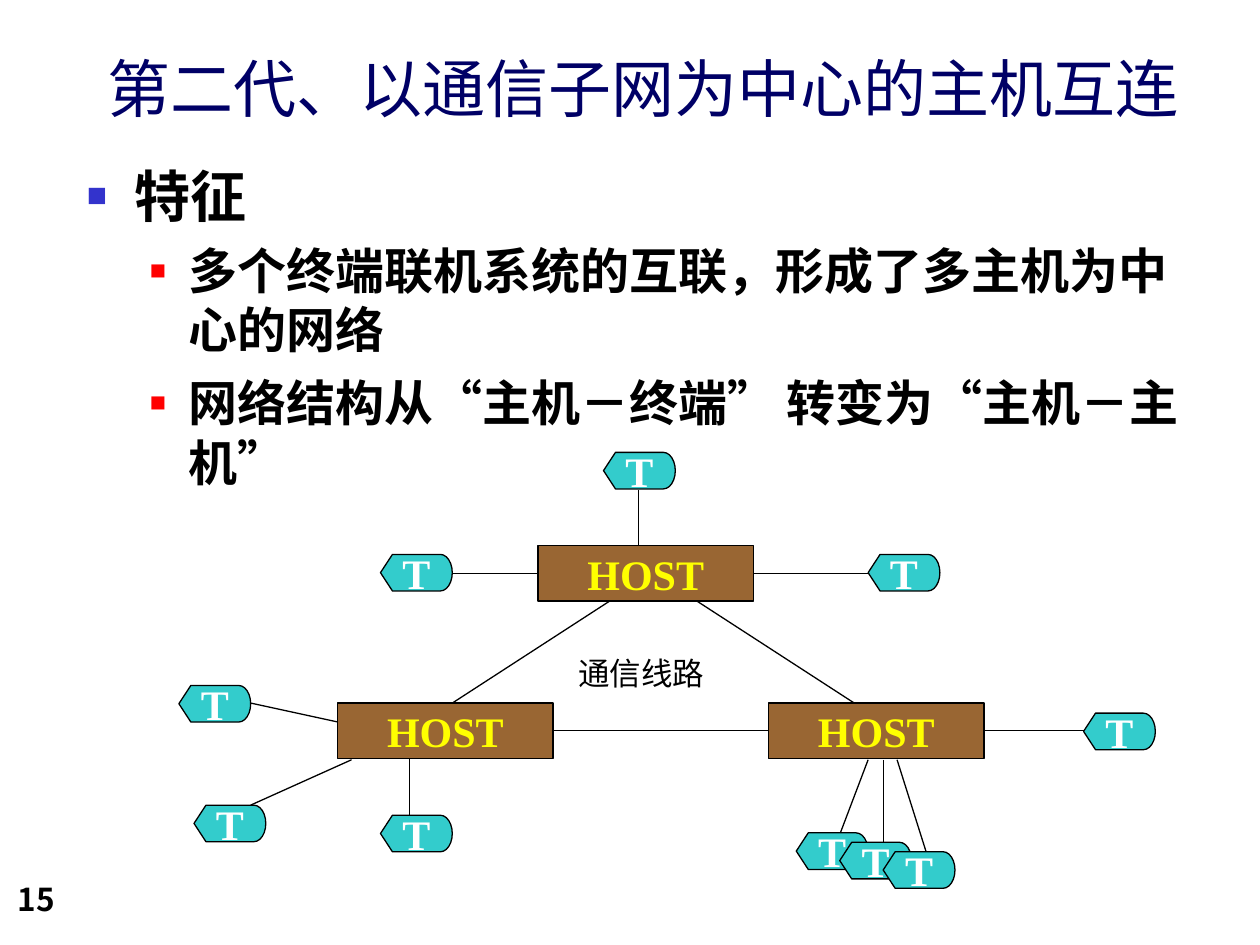
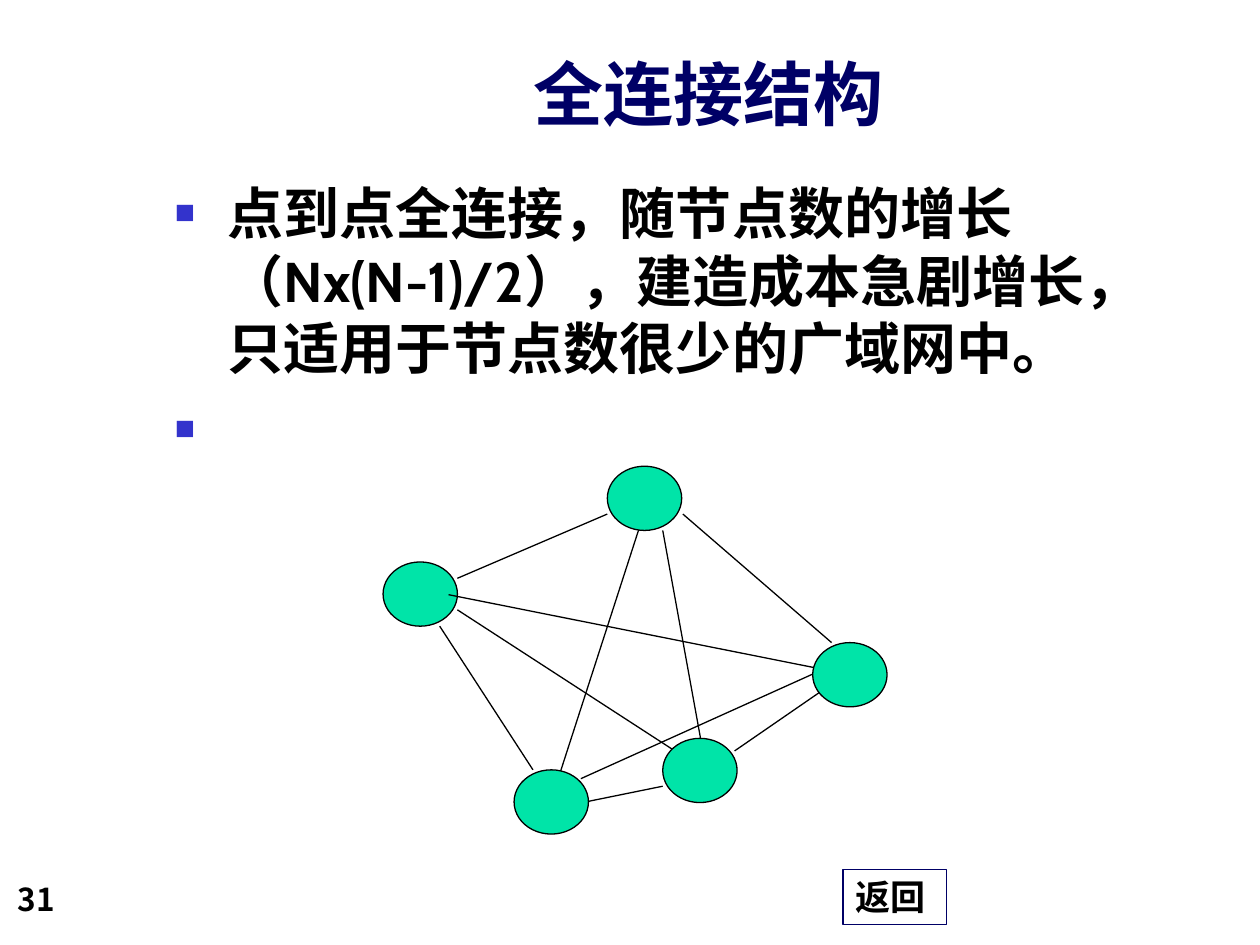
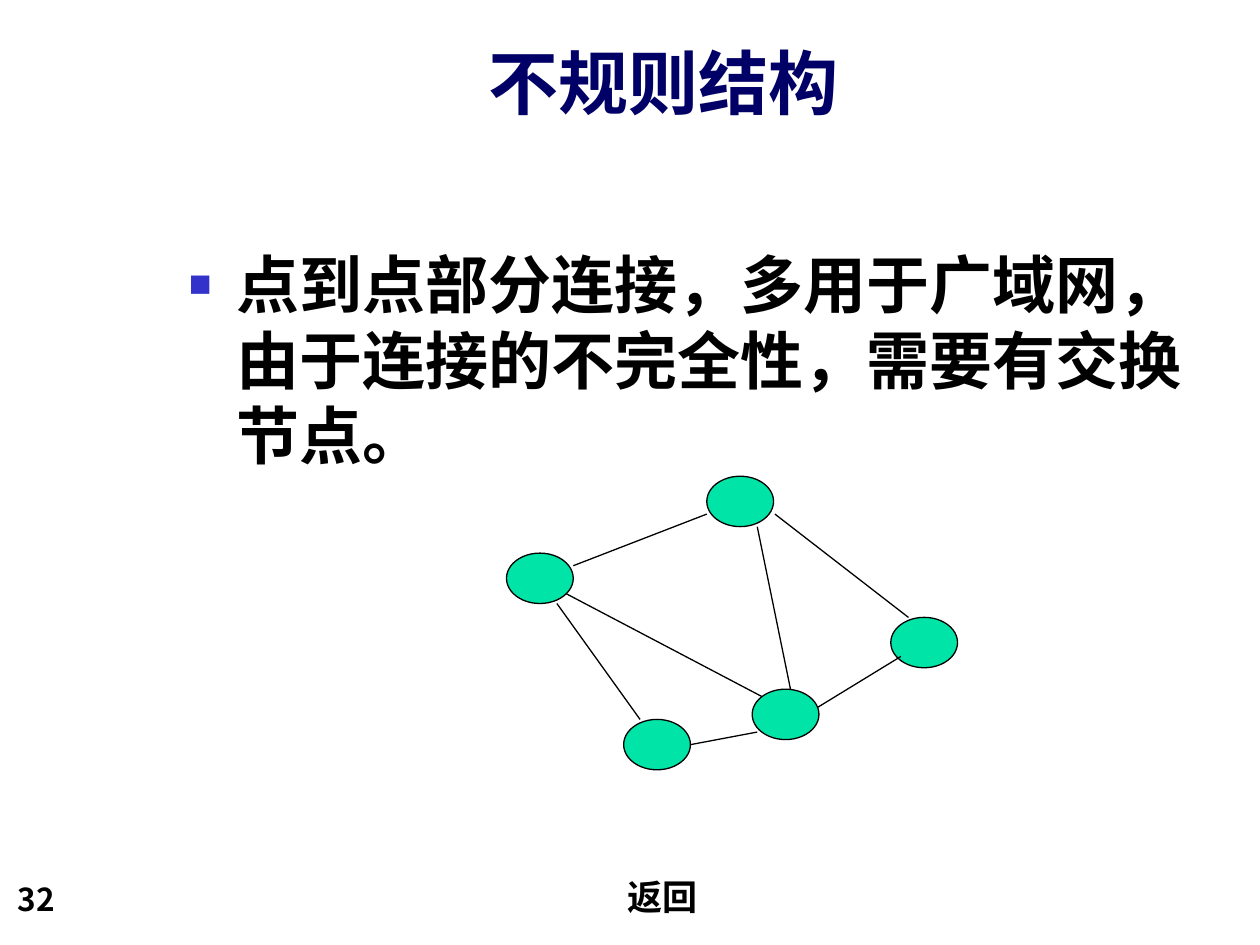
from itertools import groupby
from typing import NamedTuple

from lxml import etree
from pptx import Presentation
from pptx.dml.color import RGBColor
from pptx.enum.shapes import MSO_CONNECTOR, MSO_SHAPE
from pptx.enum.text import MSO_ANCHOR, PP_ALIGN
from pptx.oxml.ns import qn
from pptx.util import Inches, Pt

LINE = MSO_CONNECTOR.STRAIGHT
RECT, OVAL, DISPLAY = MSO_SHAPE.RECTANGLE, MSO_SHAPE.OVAL, MSO_SHAPE.FLOWCHART_DISPLAY
TOP, MIDDLE, BOTTOM = MSO_ANCHOR.TOP, MSO_ANCHOR.MIDDLE, MSO_ANCHOR.BOTTOM
LEFT, CENTER = PP_ALIGN.LEFT, PP_ALIGN.CENTER

COLORS = {
    "title": "000066", "text": "000000", "line": "000000",
    "bullet": "3333CC", "sub_bullet": "FF0000",
    "host": "996633", "host_text": "FFFF00",
    "terminal": "33CCCC", "terminal_text": "FFFFFF", "node": "00E4A8",
}
SERIF, SANS, CJK = "Times New Roman", "Cabin", "Noto Sans CJK SC"
QUOTES = "“”"
HOST_SIZE = (1.71, 0.44)
TERMINAL_SIZE = (0.57, 0.29)


class Style(NamedTuple):
    size: float
    font: str = SANS
    color: str = "text"
    bold: bool = True
    east_asian: str = SANS


class Item(NamedTuple):
    text: str
    size: float
    before: float
    indent: float = 0.38
    hanging: float = 0.38
    level: int = 0
    line_height: float | None = None


class Link(NamedTuple):
    x1: float
    y1: float
    x2: float
    y2: float


class Network(NamedTuple):
    size: tuple[float, float]
    back_links: list[Link]
    nodes: list[tuple[float, float]]
    links: list[Link]
    front_node: tuple[float, float]


PLAIN_TITLE = Style(36, SERIF, "title", False)
BOLD_TITLE = Style(40, SANS, "title")
HOST_STYLE = Style(24, SERIF, "host_text")
TERMINAL_STYLE = Style(24, SERIF, "terminal_text")


def rgb(name: str) -> RGBColor:
    return RGBColor.from_string(COLORS[name])


def format_run(r, style: Style) -> None:
    r.font.size = Pt(style.size)
    r.font.bold = style.bold
    r.font.color.rgb = rgb(style.color)
    r.font.name = style.font
    latin = r.font._element.find(qn("a:latin"))
    latin.addnext(etree.Element(qn("a:ea"), typeface=style.east_asian))
    r.font._element.set("lang", "zh-CN")


def write(shape, text: str, style: Style, align=LEFT, anchor=TOP, wrap=True) -> None:
    tf = shape.text_frame
    tf.word_wrap = wrap
    tf.vertical_anchor = anchor
    tf.text = text
    p = tf.paragraphs[0]
    p.alignment = align
    format_run(p.runs[0], style)


def add_box(s, x: float, y: float, w: float, h: float):
    return s.shapes.add_textbox(Inches(x), Inches(y), Inches(w), Inches(h))


def add_filled(s, kind, at: tuple[float, float], size: tuple[float, float], fill: str):
    sp = s.shapes.add_shape(kind, *(Inches(v) for v in (*at, *size)))
    sp.shadow.inherit = False
    sp.fill.solid()
    sp.fill.fore_color.rgb = rgb(fill)
    sp.line.color.rgb = rgb("line")
    sp.line.width = Pt(0.75)
    return sp


def add_links(s, links: list[Link]) -> None:
    for link in links:
        cn = s.shapes.add_connector(LINE, *(Inches(v) for v in link))
        cn.line.color.rgb = rgb("line")
        cn.line.width = Pt(0.75)
        etree.SubElement(cn._element.spPr, qn("a:effectLst"))


def add_bullet(p, item: Item) -> None:
    color, percent = ("sub_bullet", 55) if item.level else ("bullet", 60)
    pPr = p._p.get_or_add_pPr()
    pPr.set("marL", str(Inches(item.indent)))
    pPr.set("indent", str(-Inches(item.hanging)))
    pPr.set("hangingPunct", "0")
    clr = etree.SubElement(pPr, qn("a:buClr"))
    etree.SubElement(clr, qn("a:srgbClr"), val=COLORS[color])
    etree.SubElement(pPr, qn("a:buSzPct"), val=str(percent * 1000))
    etree.SubElement(pPr, qn("a:buFont"), typeface=SERIF)
    etree.SubElement(pPr, qn("a:buChar"), char="■")


def add_body(s, x: float, y: float, w: float, h: float, items: list[Item]) -> None:
    tf = add_box(s, x, y, w, h).text_frame
    tf.word_wrap = True
    for i, item in enumerate(items):
        p = tf.add_paragraph() if i else tf.paragraphs[0]
        p.level = item.level
        add_bullet(p, item)
        p.space_before = Pt(item.before if i else 0)
        if item.line_height:
            p.line_spacing = Pt(item.line_height)
        # Quotation marks take the full-width East Asian form
        for quoted, chars in groupby(item.text, key=lambda c: c in QUOTES):
            r = p.add_run()
            r.text = "".join(chars)
            format_run(r, Style(item.size, SERIF, east_asian=CJK) if quoted
                       else Style(item.size))


def add_slide(prs, number: int, title: str, style: Style, at: tuple[float, ...]):
    s = prs.slides.add_slide(prs.slide_layouts[6])
    write(add_box(s, *at), title, style, CENTER, BOTTOM)
    write(add_box(s, 0.04, 6.83, 2.08, 0.5), str(number), Style(18, CJK), anchor=BOTTOM)
    return s


def add_return(s, x: float, framed: bool = False) -> None:
    sp = add_box(s, x, 6.9, 0.82, 0.44)
    write(sp, "返回", Style(20))
    if framed:
        sp.line.color.rgb = rgb("title")
        sp.line.width = Pt(0.75)


def add_network(s, net: Network) -> None:
    add_links(s, net.back_links)
    for at in net.nodes:
        add_filled(s, OVAL, at, net.size, "node")
    add_links(s, net.links)
    add_filled(s, OVAL, net.front_node, net.size, "node")


def host_slide(prs) -> None:
    s = add_slide(prs, 15, "第二代、以通信子网为中心的主机互连", PLAIN_TITLE,
                  (0.48, 0.21, 9.25, 0.83))
    add_body(s, 0.59, 1.23, 8.98, 2.21, [
        Item("特征", 32, 8),
        Item("多个终端联机系统的互联，形成了多主机为中心的网络", 28, 7, 0.81, 0.31, 1),
        Item("网络结构从“主机－终端” 转变为“主机－主机”", 28, 8, 0.81, 0.31, 1, 34),
    ])
    # Hosts and terminals
    for at in [(4.27, 4.33), (6.1, 5.58), (2.68, 5.58)]:
        sp = add_filled(s, RECT, at, HOST_SIZE, "host")
        write(sp, "HOST", HOST_STYLE, CENTER, MIDDLE, False)
    stacked = [(6.32 + 0.345 * i, 6.61 + 0.075 * i) for i in range(3)]
    for at in [(1.42, 5.44), (3.02, 6.47), (1.54, 6.39), (6.89, 4.4),
               (4.79, 3.59), (3.02, 4.4), (8.6, 5.66), *stacked]:
        sp = add_filled(s, DISPLAY, at, TERMINAL_SIZE, "terminal")
        write(sp, "T", TERMINAL_STYLE, CENTER, MIDDLE, False)
    # Lines between hosts, then lines to terminals
    add_links(s, [
        Link(4.84, 4.77, 3.59, 5.58), Link(5.53, 4.77, 6.78, 5.58),
        Link(4.39, 5.8, 6.1, 5.8),
        Link(6.89, 6.03, 6.67, 6.61), Link(7.01, 6.03, 7.01, 6.69),
        Link(7.12, 6.03, 7.35, 6.76), Link(7.81, 5.8, 8.6, 5.8),
        Link(1.99, 5.58, 2.68, 5.73), Link(1.99, 6.39, 2.79, 6.03),
        Link(3.25, 6.47, 3.25, 6.02), Link(3.59, 4.55, 4.27, 4.55),
        Link(5.07, 3.89, 5.07, 4.33), Link(6.89, 4.55, 5.98, 4.55),
    ])
    write(add_box(s, 4.49, 5.14, 1.2, 0.4), "通信线路",
          Style(18, SERIF, bold=False), CENTER, wrap=False)


def full_mesh_slide(prs) -> None:
    s = add_slide(prs, 31, "全连接结构", BOLD_TITLE, (1.71, 0.2, 7.83, 0.92))
    add_body(s, 1.29, 1.37, 8, 2.25, [
        Item("点到点全连接，随节点数的增长（Nx(N-1)/2），建造成本急剧增长，"
             "只适用于节点数很少的广域网中。", 32, 8, 0.42, 0.42),
        Item(" ", 32, 8, 0.42, 0.42),
    ])
    add_network(s, Network(
        size=(0.59, 0.51),
        back_links=[Link(3.63, 4.84, 5.48, 6.04), Link(5.09, 4.14, 4.43, 6.18)],
        nodes=[(4.82, 3.7), (5.26, 5.86), (4.08, 6.11), (3.04, 4.46)],
        links=[
            Link(3.63, 4.59, 4.82, 4.08), Link(3.49, 4.97, 4.23, 6.11),
            Link(4.61, 6.18, 6.45, 5.35), Link(5.26, 4.21, 5.56, 5.86),
            Link(5.42, 4.08, 6.6, 5.1), Link(4.67, 6.36, 5.26, 6.24),
            Link(5.83, 5.96, 6.57, 5.45), Link(3.56, 4.72, 6.52, 5.31),
        ],
        front_node=(6.45, 5.1),
    ))
    add_return(s, 6.69, framed=True)


def irregular_slide(prs) -> None:
    s = add_slide(prs, 32, "不规则结构", BOLD_TITLE, (1.35, 0.11, 7.83, 0.92))
    add_body(s, 1.4, 1.9, 8.5, 2.08, [
        Item("点到点部分连接，多用于广域网，由于连接的不完全性，需要有交换节点。", 36, 9),
    ])
    add_network(s, Network(
        size=(0.53, 0.4),
        back_links=[],
        nodes=[(7.07, 4.9), (5.61, 3.78), (4.95, 5.71), (4.02, 4.39)],
        links=[
            Link(4.55, 4.49, 5.61, 4.08), Link(4.42, 4.79, 5.08, 5.71),
            Link(6.01, 4.18, 6.28, 5.5), Link(6.15, 4.08, 7.21, 4.9),
            Link(5.48, 5.91, 6.01, 5.81), Link(6.48, 5.62, 7.15, 5.21),
            Link(4.49, 4.71, 6.05, 5.53),
        ],
        front_node=(5.97, 5.47),
    ))
    add_return(s, 4.88)


def main() -> None:
    prs = Presentation()
    prs.slide_width, prs.slide_height = Inches(10), Inches(7.5)
    host_slide(prs)
    full_mesh_slide(prs)
    irregular_slide(prs)
    prs.save("out.pptx")


if __name__ == "__main__":
    main()
